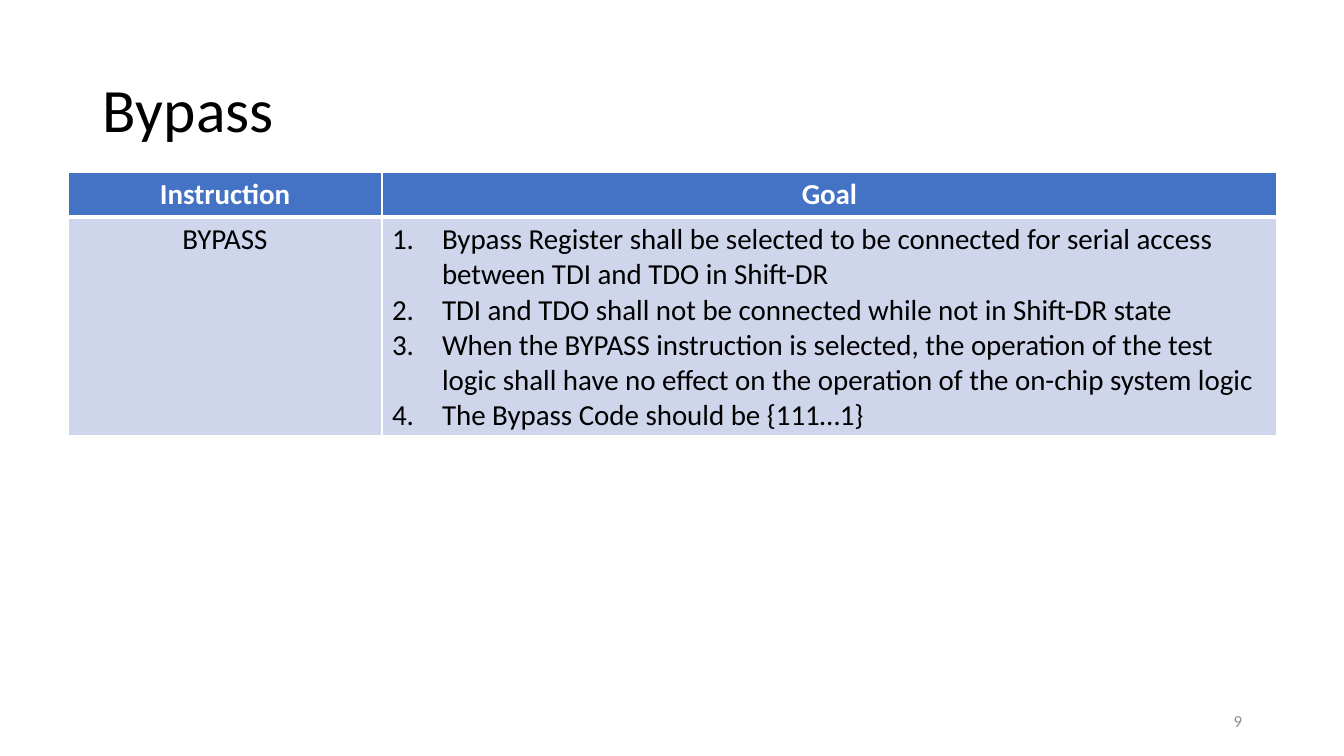
"""Build the Bypass instruction slide with its title, table and page number."""
from pptx import Presentation
from pptx.dml.color import RGBColor
from pptx.enum.text import MSO_ANCHOR, PP_ALIGN
from pptx.oxml import parse_xml
from pptx.oxml.ns import nsdecls
from pptx.util import Emu, Pt

PIXEL = 914400 / 100.8
THEME = {
    "font": "Calibri",
    "title": {"size": 44, "color": "000000"},
    "header": {"size": 20.7, "color": "FFFFFF", "bold": True},
    "body": {"size": 20.7, "color": "000000", "bold": False},
    "number": {"size": 12, "color": "8C8C8C"},
    "header_fill": "4472C4",
    "body_fill": "CFD5EA",
    "border": "FFFFFF",
}


def pixels(*lengths):
    return [Emu(round(length * PIXEL)) for length in lengths]


def write_paragraph(paragraph, text, style, **paragraph_format):
    for name, value in paragraph_format.items():
        setattr(paragraph, name, value)
    run = paragraph.add_run()
    run.text = text
    run.font.color.rgb = RGBColor.from_string(THEME[style]["color"])
    font_format = {
        "name": THEME["font"],
        "size": Pt(THEME[style]["size"]),
        "bold": THEME[style].get("bold"),
    }
    for name, value in font_format.items():
        setattr(run.font, name, value)


presentation = Presentation()
presentation.slide_width, presentation.slide_height = pixels(1344, 756)
slide = presentation.slides.add_slide(presentation.slide_layouts[6])

text_boxes = [
    ("Bypass", (93, 40, 1159, 146), "title", {"line_spacing": 0.9}),
    ("9", (950, 701, 302, 40), "number", {"alignment": PP_ALIGN.RIGHT}),
]
for text, box, style, paragraph_format in text_boxes:
    text_frame = slide.shapes.add_textbox(*pixels(*box)).text_frame
    frame_format = {"word_wrap": True, "vertical_anchor": MSO_ANCHOR.MIDDLE}
    for name, value in frame_format.items():
        setattr(text_frame, name, value)
    write_paragraph(text_frame.paragraphs[0], text, style, **paragraph_format)

goals = [
    "Bypass Register shall be selected to be connected for serial access between TDI and TDO in Shift-DR",
    "TDI and TDO shall not be connected while not in Shift-DR state",
    "When the BYPASS instruction is selected, the operation of the test logic shall have no effect "
    "on the operation of the on-chip system logic",
    "The Bypass Code should be {111…1}",
]
rows = [
    ("header", 41, {"L": 1, "R": 1, "T": 1, "B": 3}, [["Instruction"], ["Goal"]]),
    ("body", 192, {"L": 1, "R": 1, "T": 3, "B": 1}, [["BYPASS"], goals]),
]
table = slide.shapes.add_table(2, 2, *pixels(68, 172, 1209, 233)).table
for column, width in zip(table.columns, pixels(314, 895)):
    column.width = width

for row_index, (style, height, borders, contents) in enumerate(rows):
    table.rows[row_index].height = pixels(height)[0]
    for cell, lines in zip(table.rows[row_index].cells, contents):
        cell_properties = cell._tc.get_or_add_tcPr()
        for side, width in borders.items():
            cell_properties.append(parse_xml(
                f'<a:ln{side} {nsdecls("a")} w="{Pt(width)}"><a:solidFill>'
                f'<a:srgbClr val="{THEME["border"]}"/></a:solidFill></a:ln{side}>'
            ))
        cell.fill.solid()
        cell.fill.fore_color.rgb = RGBColor.from_string(THEME[style + "_fill"])
        numbered = len(lines) > 1
        alignment = PP_ALIGN.LEFT if numbered else PP_ALIGN.CENTER
        for line_index, line in enumerate(lines):
            text_frame = cell.text_frame
            paragraph = text_frame.add_paragraph() if line_index else text_frame.paragraphs[0]
            write_paragraph(paragraph, line, style, alignment=alignment)
            if numbered:
                paragraph_properties = paragraph._p.get_or_add_pPr()
                indent = pixels(50)[0]
                for name, value in {"marL": indent, "indent": -indent}.items():
                    paragraph_properties.set(name, str(value))
                paragraph_properties.append(
                    parse_xml(f'<a:buAutoNum {nsdecls("a")} type="arabicPeriod"/>')
                )

presentation.save("out.pptx")
